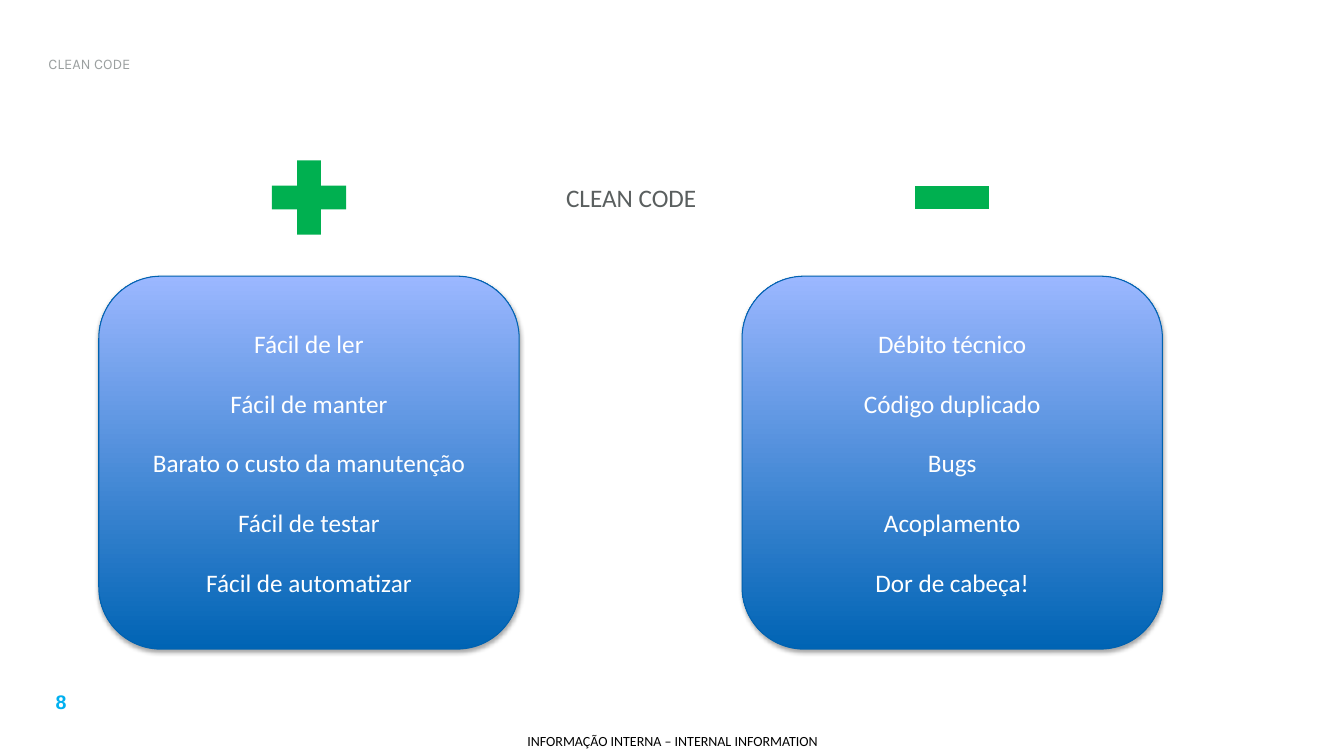
"""Build the Clean Code pros and cons slide."""
import lxml.etree
import pptx
import pptx.dml.color
import pptx.enum.shapes
import pptx.enum.text
import pptx.oxml.ns
import pptx.util

Inches, Pt = pptx.util.Inches, pptx.util.Pt
MSO_SHAPE = pptx.enum.shapes.MSO_SHAPE
ANCHOR = pptx.enum.text.MSO_ANCHOR
ALIGN = pptx.enum.text.PP_ALIGN

COLORS = {"title": "9BA0A0", "heading": "5A5F5F", "number": "00B0F0", "footer": "000000",
          "item": "FFFFFF", "sign": "00B050", "dark": "0064B4", "light": "9BB7FF",
          "edge": "0062B0", "shadow": "000000"}
TITLE = "CLEAN CODE"
LABELS = [
    ("8", (0.21, 6.8, 0.79, 0.34), ANCHOR.TOP, None,
     {"size": Pt(14), "name": "Arial", "bold": True}, "number"),
    ("INFORMAÇÃO INTERNA – INTERNAL INFORMATION", (5.03, 7.21, 3.28, 0.29), ANCHOR.MIDDLE, 0,
     {"size": Pt(10), "name": "Calibri"}, "footer"),
    ("CLEAN CODE", (4.45, 1.76, 3.62, 0.4), ANCHOR.TOP, None,
     {"size": Pt(18), "name": "Calibri"}, "heading"),
]
COLUMNS = [
    (0.98, MSO_SHAPE.MATH_PLUS,
     ["Fácil de ler", "Fácil de manter", "Barato o custo da manutenção",
      "Fácil de testar", "Fácil de automatizar"]),
    (7.36, MSO_SHAPE.MATH_MINUS,
     ["Débito técnico", "Código duplicado", "Bugs", "Acoplamento", "Dor de cabeça!"]),
]
CARD_TOP, CARD_W, CARD_H = 2.74, 4.17, 3.7
SIGN_TOP, SIGN_SIZE = 1.46, 1
ITEM_FONT = {"size": Pt(18), "name": "Calibri"}
TITLE_FONT = {"size": Pt(10.5), "name": "Karla"}


def rgb(key):
    """Return a palette colour."""
    return pptx.dml.color.RGBColor.from_string(COLORS[key])


def write(tf, lines, font, color, align=ALIGN.CENTER, anchor=ANCHOR.MIDDLE, gap=0):
    """Fill a text frame with formatted paragraphs."""
    tf.word_wrap = True
    tf.auto_size = pptx.enum.text.MSO_AUTO_SIZE.NONE
    tf.vertical_anchor = anchor
    for i, line in enumerate(lines):
        p = tf.add_paragraph() if i else tf.paragraphs[0]
        p.alignment = align
        p.space_before = Pt(gap if i else 0)
        r = p.add_run()
        r.text = line
        for name, value in font.items():
            setattr(r.font, name, value)
        r.font.color.rgb = rgb(color)


def add_shape(slide, kind, *box):
    """Add a preset shape without the theme shadow."""
    sp = slide.shapes.add_shape(kind, *map(Inches, box))
    sp.shadow.inherit = False
    return sp


def add_label(slide, text, box, anchor, inset, font, color):
    """Add a centred single-line text box."""
    tf = slide.shapes.add_textbox(*map(Inches, box)).text_frame
    if inset is not None:
        for side in ("left", "top", "right", "bottom"):
            setattr(tf, f"margin_{side}", Inches(inset))
    write(tf, [text], font, color, anchor=anchor)


def add_sign(slide, kind, left):
    """Add a green plus or minus."""
    sp = add_shape(slide, kind, left, SIGN_TOP, SIGN_SIZE, SIGN_SIZE)
    sp.fill.solid()
    sp.fill.fore_color.rgb = rgb("sign")
    sp.line.fill.background()


def add_card(slide, left, items):
    """Add a shaded rounded card listing its items."""
    sp = add_shape(slide, MSO_SHAPE.ROUNDED_RECTANGLE, left, CARD_TOP, CARD_W, CARD_H)
    sp.fill.gradient()
    sp.fill.gradient_angle = 90
    for stop, position, color in zip(sp.fill.gradient_stops, (0, 1), ("dark", "light")):
        stop.position = position
        stop.color.rgb = rgb(color)
    sp.line.color.rgb = rgb("edge")
    sp.line.width = Pt(0.75)
    qn = pptx.oxml.ns.qn
    effects = sp._element.spPr.find(qn("a:effectLst"))
    shadow = lxml.etree.SubElement(effects, qn("a:outerShdw"), blurRad=str(Pt(3.1)),
                                   dist=str(Pt(1.8)), dir="5400000", rotWithShape="0")
    tint = lxml.etree.SubElement(shadow, qn("a:srgbClr"), val=COLORS["shadow"])
    lxml.etree.SubElement(tint, qn("a:alpha"), val="35000")
    write(sp.text_frame, items, ITEM_FONT, "item", gap=21)


def main():
    """Assemble and save the slide."""
    prs = pptx.Presentation()
    prs.slide_width, prs.slide_height = Inches(13.33), Inches(7.5)
    slide = prs.slides.add_slide(prs.slide_layouts[5])
    title = slide.shapes.title
    title.left, title.top, title.width, title.height = map(Inches, (0.38, 0.38, 11.88, 0.5))
    write(title.text_frame, [TITLE], TITLE_FONT, "title", align=ALIGN.LEFT)
    for label in LABELS:
        add_label(slide, *label)
    for left, sign, items in COLUMNS:
        add_sign(slide, sign, left + (CARD_W - SIGN_SIZE) / 2)
        add_card(slide, left, items)
    prs.save("out.pptx")


if __name__ == "__main__":
    main()
